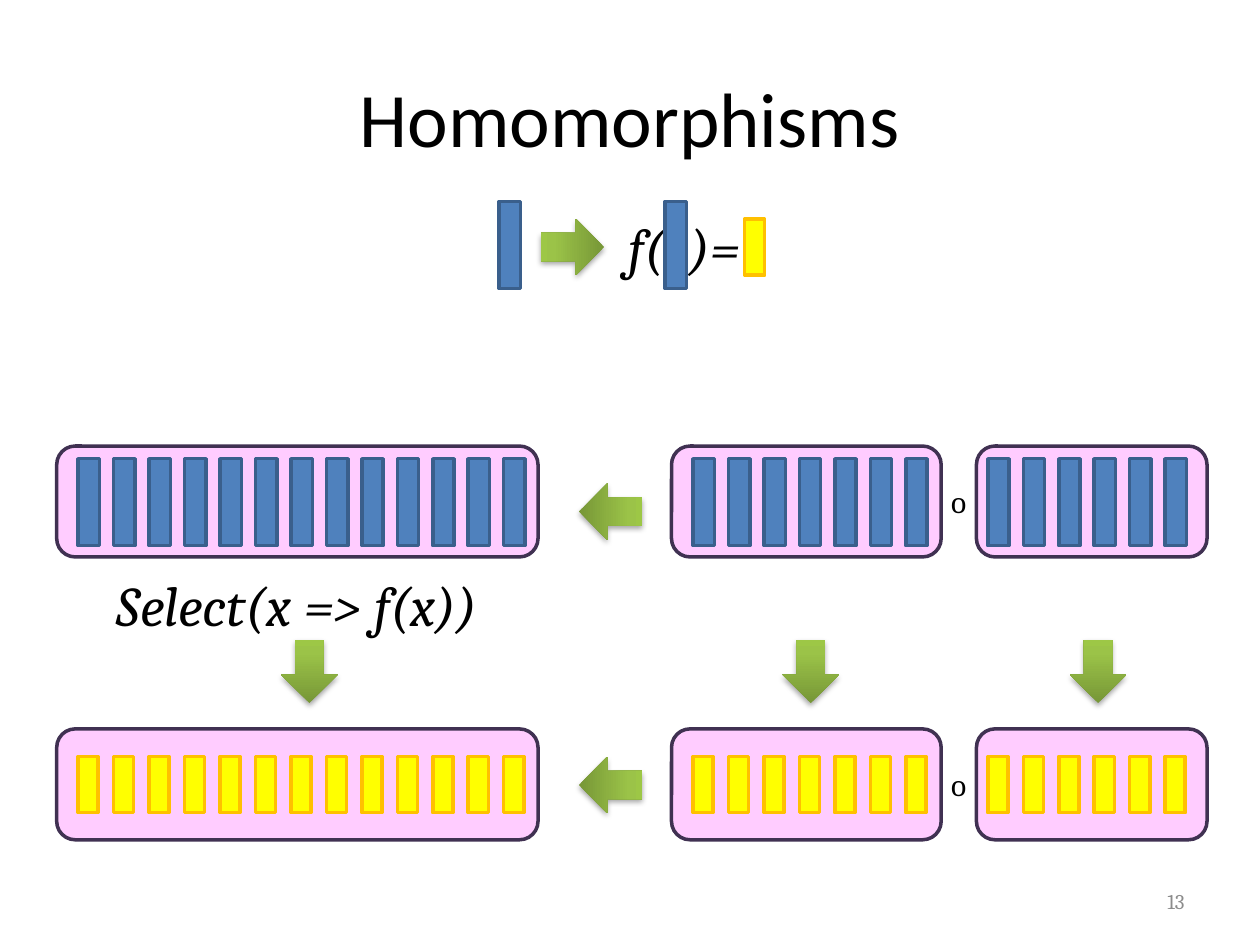
from lxml import etree
from pptx import Presentation
from pptx.dml.color import RGBColor
from pptx.enum.shapes import MSO_SHAPE
from pptx.enum.text import MSO_ANCHOR, MSO_AUTO_SIZE, PP_ALIGN
from pptx.oxml import parse_xml
from pptx.oxml.ns import qn
from pptx.util import Inches, Pt

RECTANGLE = MSO_SHAPE.RECTANGLE
ROUNDED = MSO_SHAPE.ROUNDED_RECTANGLE
DOWN_ARROW = MSO_SHAPE.DOWN_ARROW
MIDDLE = MSO_ANCHOR.MIDDLE
FIT_SHAPE = MSO_AUTO_SIZE.SHAPE_TO_FIT_TEXT
LEFT, CENTER, RIGHT = PP_ALIGN.LEFT, PP_ALIGN.CENTER, PP_ALIGN.RIGHT

BLACK = RGBColor(0x00, 0x00, 0x00)
GRAY = RGBColor(0x8C, 0x8C, 0x8C)
PINK = RGBColor(0xFF, 0xCC, 0xFF)
PURPLE = RGBColor(0x40, 0x31, 0x52)
BLUE = RGBColor(0x4F, 0x81, 0xBD)
DARK_BLUE = RGBColor(0x3A, 0x5F, 0x8C)
YELLOW = RGBColor(0xFF, 0xFF, 0x00)
ORANGE = RGBColor(0xFF, 0xC0, 0x00)
DARK_GREEN = RGBColor(0x77, 0x97, 0x37)
GREEN = RGBColor(0x9B, 0xC3, 0x48)
LIGHT_GREEN = RGBColor(0x9D, 0xC7, 0x46)

A = "http://schemas.openxmlformats.org/drawingml/2006/main"
ARROW_SHADOW = (
    f'<a:effectLst xmlns:a="{A}">'
    '<a:outerShdw blurRad="40000" dist="23000" dir="5400000" rotWithShape="0">'
    '<a:srgbClr val="000000"><a:alpha val="35000"/></a:srgbClr>'
    "</a:outerShdw></a:effectLst>"
)

deck = Presentation()
deck.slide_width, deck.slide_height = Inches(10), Inches(7.5)
COLUMN = deck.slide_width / 100
ROW = deck.slide_height / 75
page = deck.slides.add_slide(deck.slide_layouts[5])


def add_block(kind, left, top, width, height, fill, line):
    block = page.shapes.add_shape(
        kind, int(left * COLUMN), int(top * ROW), int(width * COLUMN), int(height * ROW)
    )
    block.shadow.inherit = False
    block.fill.solid()
    block.fill.fore_color.rgb = fill
    block.line.color.rgb = line
    block.line.width = Pt(2)
    return block


def write(box, text, font, size, color, align=LEFT, italic=False):
    para = box.text_frame.paragraphs[0]
    para.alignment = align
    span = para.add_run()
    span.text = text
    span.font.name = font
    span.font.size = Pt(size)
    span.font.color.rgb = color
    span.font.italic = italic


title = page.shapes.title
title.left, title.top = int(5 * COLUMN), int(3 * ROW)
title.width, title.height = int(90 * COLUMN), int(12.5 * ROW)
title.text_frame.vertical_anchor = MIDDLE
write(title, "Homomorphisms", "Calibri", 44, BLACK, CENTER)

# Collections: frame left, frame width, first item, number of items
collections = [(4.5, 38.2, 6.2, 13), (53.3, 21.4, 55, 7), (77.5, 18.3, 78.4, 6)]
ITEM_STEP = 2.815
# Stages: frame top, item top, item width, item height, fill, line
stages = [
    (35.4, 36.4, 1.7, 6.9, BLUE, DARK_BLUE),
    (57.85, 60.05, 1.6, 4.45, YELLOW, ORANGE),
]
for frame_top, item_top, item_width, item_height, fill, line in stages:
    for frame_left, frame_width, first, count in collections:
        add_block(ROUNDED, frame_left, frame_top, frame_width, 8.8, PINK, PURPLE)
        for index in range(count):
            add_block(RECTANGLE, first + index * ITEM_STEP, item_top,
                      item_width, item_height, fill, line)

# Arrows: left, top, rotation
arrows = [
    (43.2, 17.1, 270),
    (46.2, 38.1, 90), (46.2, 59.8, 90),
    (22.3, 50.8, 0), (62.1, 50.8, 0), (84.9, 50.8, 0),
]
for left, top, rotation in arrows:
    arrow = add_block(DOWN_ARROW, left, top, 4.5, 5, GREEN, GREEN)
    arrow.rotation = rotation
    arrow.line.fill.background()
    arrow.fill.gradient()
    arrow.fill.gradient_angle = 90
    dark, light = arrow.fill.gradient_stops
    dark.color.rgb, dark.position = DARK_GREEN, 0
    light.color.rgb, light.position = GREEN, 0.8
    properties = arrow.element.spPr
    stop_list = properties.find(qn("a:gradFill")).find(qn("a:gsLst"))
    last_stop = etree.SubElement(stop_list, qn("a:gs"), pos="100000")
    etree.SubElement(last_stop, qn("a:srgbClr"), val=str(LIGHT_GREEN))
    properties.replace(properties.find(qn("a:effectLst")), parse_xml(ARROW_SHADOW))

# Labels: text, left, top, width, height, size, italic
labels = [
    ("f(  )=", 48.9, 16.4, 11, 6.4, 32, True),
    ("Select(x => f(x))", 8.3, 44.8, 31.6, 6.4, 32, True),
    ("o", 74.5, 37.8, 3.4, 4, 18, False),
    ("o", 74.5, 60.2, 3.4, 4, 18, False),
]
for text, left, top, width, height, size, italic in labels:
    label = page.shapes.add_textbox(
        int(left * COLUMN), int(top * ROW), int(width * COLUMN), int(height * ROW)
    )
    label.text_frame.word_wrap = False
    label.text_frame.auto_size = FIT_SHAPE
    write(label, text, "Cambria", size, BLACK, italic=italic)

# Items in the formula, over its text
for left in (39.6, 52.8):
    add_block(RECTANGLE, left, 16, 1.7, 6.9, BLUE, DARK_BLUE)
add_block(RECTANGLE, 59.1, 17.4, 1.6, 4.45, YELLOW, ORANGE)

page_number = page.shapes.add_textbox(
    int(71.7 * COLUMN), int(69.5 * ROW), int(23.3 * COLUMN), int(4 * ROW)
)
page_number.text_frame.word_wrap = True
page_number.text_frame.vertical_anchor = MIDDLE
write(page_number, "13", "Cambria", 12, GRAY, RIGHT)

deck.save("out.pptx")
